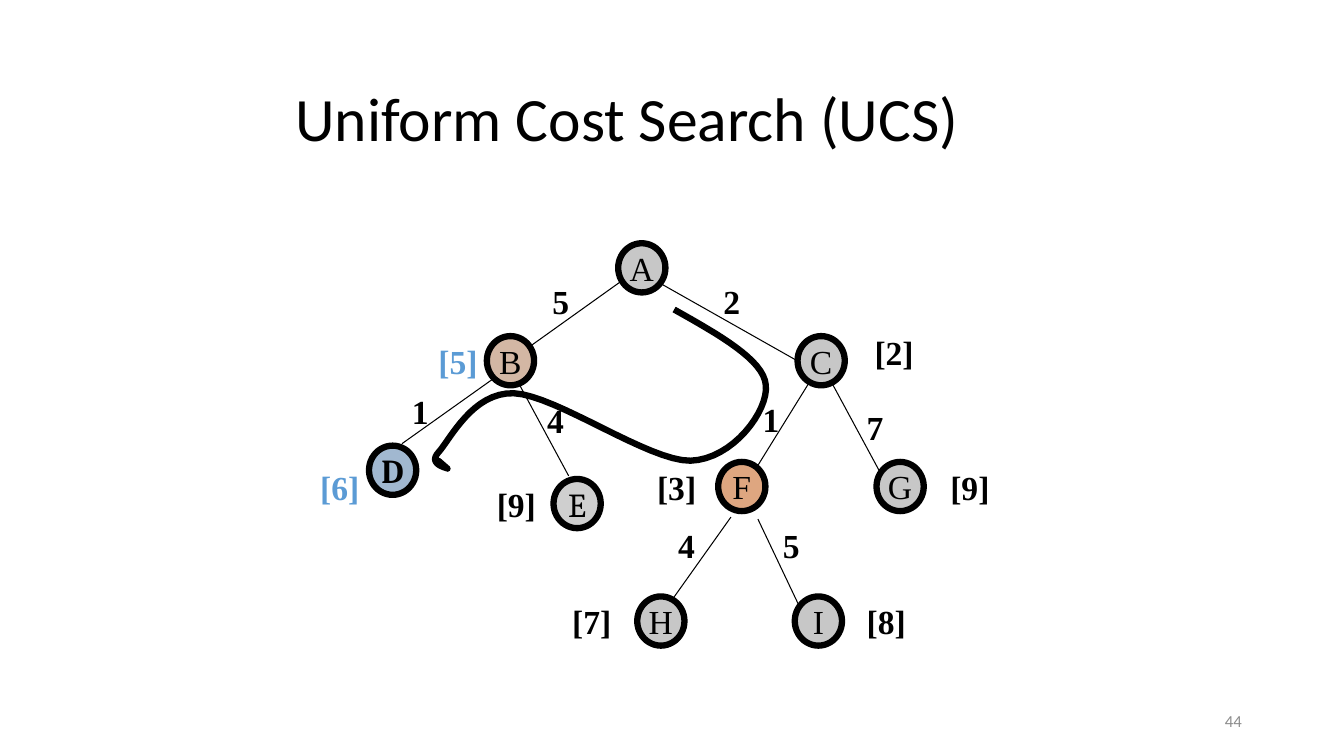
from pptx import Presentation
from pptx.dml.color import RGBColor
from pptx.enum.shapes import MSO_CONNECTOR as Link, MSO_SHAPE as Shape
from pptx.enum.text import MSO_ANCHOR as Anchor, PP_ALIGN as Align
from pptx.oxml.ns import qn
from pptx.util import Cm, Pt
from lxml.etree import SubElement

SERIF = "Times New Roman"
BLACK, GREY, BLUE = "000000", "C7C7C7", "5B9BD5"

# name: left, top, fill
NODES = {
    "A": (15.58, 6.13, GREY),
    "B": (12.27, 8.47, "D3B7A4"),
    "C": (20.1, 8.47, GREY),
    "D": (9.3, 11.23, "A1B8D0"),
    "E": (13.95, 12.07, "CFCFCF"),
    "F": (18.1, 11.64, "DEA680"),
    "G": (22.09, 11.64, GREY),
    "H": (16.06, 15.03, GREY),
    "I": (20.03, 15.03, GREY),
}
# start x, y, end x, y, step cost, cost left, top
EDGES = [
    (15.65, 7.09, 13.34, 8.74, "5", 13.67, 6.96),
    (16.64, 7.14, 20.09, 9.09, "2", 17.98, 6.96),
    (12.45, 9.53, 10.13, 11.18, "1", 10.13, 9.73),
    (13.11, 9.73, 14.33, 11.99, "4", 13.54, 9.96),
    (20.4, 9.63, 19.08, 11.76, "1", 18.97, 9.93),
    (20.98, 9.68, 22.2, 11.94, "7", 21.59, 10.13),
    (18.42, 13.03, 16.94, 15.11, "4", 16.84, 13.11),
    (19.1, 13.08, 20.14, 15.27, "5", 19.48, 13.11),
]
# total cost, left, top, colour
TOTALS = [
    ("[5]", 10.8, 8.46, BLUE),
    ("[2]", 21.79, 8.23, BLACK),
    ("[6]", 7.82, 11.63, BLUE),
    ("[9]", 12.27, 12.07, BLACK),
    ("[3]", 16.31, 11.63, BLACK),
    ("[9]", 23.7, 11.63, BLACK),
    ("[7]", 14.17, 15.01, BLACK),
    ("[8]", 21.59, 15.01, BLACK),
]
# start point, then two handles and an end point for each bend
ROUTE = [
    (16.99, 7.8),
    (18.11, 8.43), (19.25, 9.07), (19.3, 9.7),
    (19.38, 10.34), (18.47, 11.58), (17.4, 11.61),
    (16.36, 11.63), (14.02, 9.96), (12.95, 9.91),
    (11.91, 9.88), (11.35, 11.07), (11.05, 11.4),
    (10.77, 11.71), (11.28, 11.79), (11.28, 11.81),
]
HOOK = [(11.05, 11.61), (11.28, 11.81)]
STEPS = 16


def color(code):
    return RGBColor.from_string(code)


def style(box, size, font, code, bold=False, align=Align.LEFT):
    par = box.text_frame.paragraphs[0]
    par.alignment = align
    face = par.runs[0].font
    face.size, face.name, face.bold = Pt(size), font, bold
    face.color.rgb = color(code)


def stroke(item, width):
    item.line.color.rgb = color(BLACK)
    item.line.width = Pt(width)


def add_title(slide, text):
    title = slide.shapes.title
    title.left, title.top = Cm(7.19), Cm(1.47)
    title.width, title.height = Cm(21.59), Cm(3.18)
    title.text_frame.text = text
    title.text_frame.vertical_anchor = Anchor.MIDDLE
    title.text_frame.paragraphs[0].line_spacing = 0.9
    style(title, 44, "Calibri", BLACK)


def add_label(slide, text, left, top, code=BLACK):
    width = 0.94 if len(text) == 1 else 1.5
    box = slide.shapes.add_textbox(Cm(left), Cm(top), Cm(width), Cm(1.27))
    box.text_frame.text = text
    box.text_frame.word_wrap = False
    style(box, 24, SERIF, code, bold=True)


def add_node(slide, name, left, top, fill):
    node = slide.shapes.add_shape(Shape.OVAL, Cm(left), Cm(top), Cm(1.19), Cm(1.24))
    node.shadow.inherit = False
    node.fill.solid()
    node.fill.fore_color.rgb = color(fill)
    stroke(node, 4.5)
    frame = node.text_frame
    frame.text = name
    frame.word_wrap = False
    frame.vertical_anchor = Anchor.MIDDLE
    frame.margin_left = frame.margin_right = frame.margin_top = frame.margin_bottom = 0
    font = "Cambria" if name in "DE" else SERIF
    style(node, 24, font, BLACK, bold=name == "D", align=Align.CENTER)


def add_edge(slide, *ends):
    edge = slide.shapes.add_connector(Link.STRAIGHT, *map(Cm, ends))
    stroke(edge, 0.75)
    SubElement(edge.element.spPr, qn("a:effectLst"))


def bend(a, b, c, d):
    """Points along one cubic Bezier curve, without its start."""
    for step in range(1, STEPS + 1):
        t = step / STEPS
        u = 1 - t
        yield tuple(u**3 * p + 3 * u * u * t * q + 3 * u * t * t * r + t**3 * s
                    for p, q, r, s in zip(a, b, c, d))


def add_route(slide):
    points = [p for i in range(0, len(ROUTE) - 1, 3) for p in bend(*ROUTE[i:i + 4])]
    dots = [(Cm(x), Cm(y)) for x, y in points + HOOK]
    x, y = ROUTE[0]
    pen = slide.shapes.build_freeform(Cm(x), Cm(y))
    pen.add_line_segments(dots, close=False)
    route = pen.convert_to_shape()
    route.shadow.inherit = False
    route.fill.background()
    stroke(route, 4.5)


def add_number(slide, text):
    box = slide.shapes.add_textbox(Cm(23.93), Cm(17.65), Cm(7.62), Cm(1.02))
    box.text_frame.text = text
    box.text_frame.word_wrap = True
    box.text_frame.vertical_anchor = Anchor.MIDDLE
    style(box, 12, "Calibri", "8C8C8C", align=Align.RIGHT)


def main():
    deck = Presentation()
    deck.slide_width, deck.slide_height = Cm(33.87), Cm(19.05)
    slide = deck.slides.add_slide(deck.slide_layouts[5])
    add_title(slide, "Uniform Cost Search (UCS)")
    add_route(slide)
    for name, (left, top, fill) in NODES.items():
        add_node(slide, name, left, top, fill)
    for *ends, cost, left, top in EDGES:
        add_edge(slide, *ends)
        add_label(slide, cost, left, top)
    for total in TOTALS:
        add_label(slide, *total)
    add_number(slide, "44")
    deck.save("out.pptx")


if __name__ == "__main__":
    main()
